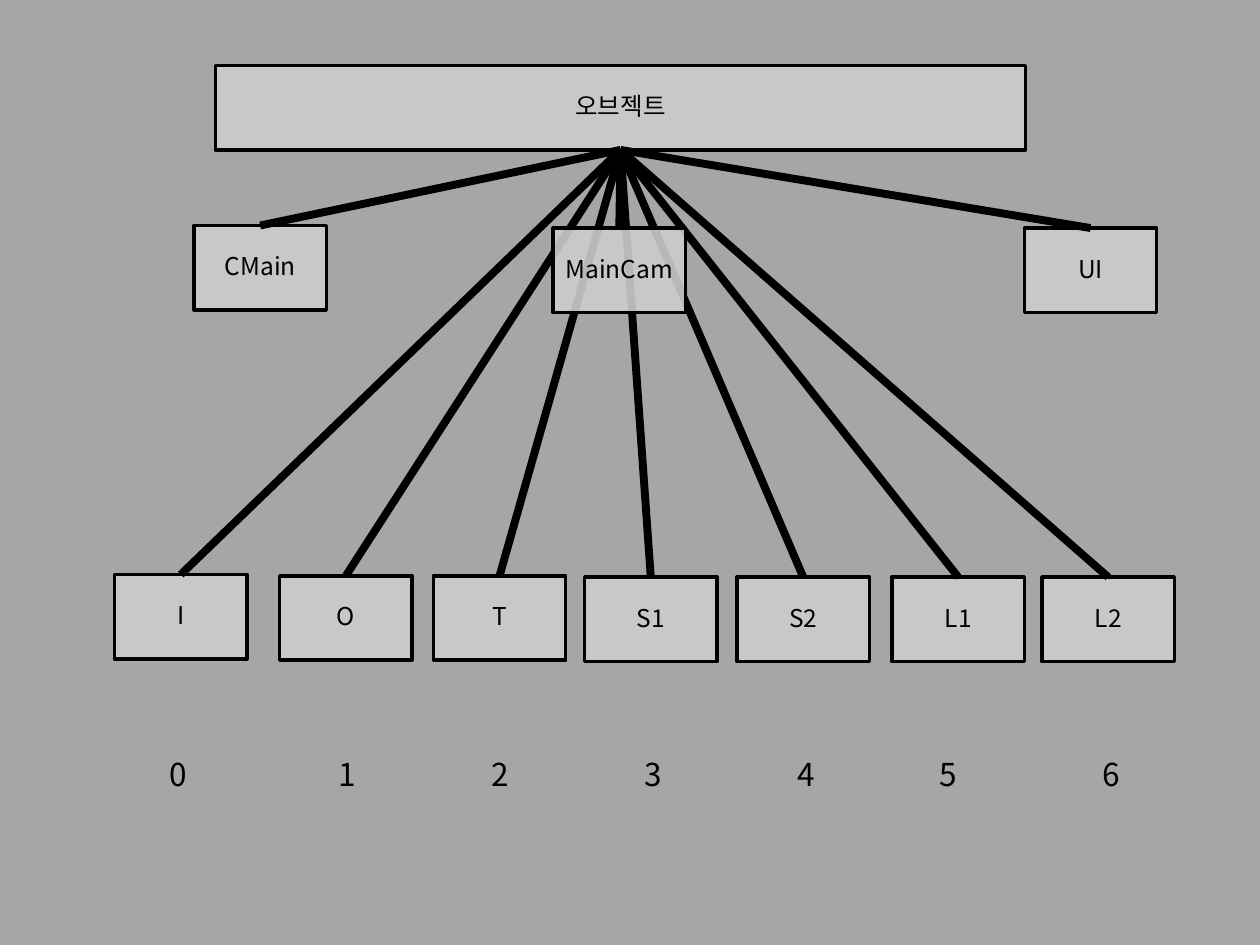
from lxml import etree
from pptx import Presentation
from pptx.dml.color import RGBColor
from pptx.enum.shapes import MSO_CONNECTOR, MSO_SHAPE
from pptx.enum.text import MSO_ANCHOR, MSO_AUTO_SIZE, PP_ALIGN
from pptx.oxml.ns import qn
from pptx.util import Inches, Pt

RECTANGLE = MSO_SHAPE.RECTANGLE
STRAIGHT = MSO_CONNECTOR.STRAIGHT
MIDDLE = MSO_ANCHOR.MIDDLE
CENTER = PP_ALIGN.CENTER
FIT_SHAPE = MSO_AUTO_SIZE.SHAPE_TO_FIT_TEXT

FONT = "Noto Sans CJK KR"
BLACK, BOX_FILL, BACKGROUND = "000000", "CCCCCC", "A6A6A6"
BOX_WIDTH, BOX_HEIGHT = 1.05, 0.67
BOTTOM_SITE, TOP_SITE = 2, 0

# name, left, top
SCENES = [
    ("I", 0.91, 4.56),
    ("O", 2.22, 4.57),
    ("T", 3.44, 4.57),
    ("S1", 4.64, 4.58),
    ("S2", 5.85, 4.58),
    ("L1", 7.08, 4.58),
    ("L2", 8.27, 4.58),
]
NUMBER_LEFTS = [1.25, 2.59, 3.8, 5.02, 6.23, 7.36, 8.65]
NUMBER_TOP = 5.94


def color(hex_text):
    return RGBColor.from_string(hex_text)


def set_fill(fill, hex_text):
    fill.solid()
    fill.fore_color.rgb = color(hex_text)


def set_line(line, width):
    line.color.rgb = color(BLACK)
    line.width = Pt(width)


def write_text(para, text, size):
    span = para.add_run()
    span.text = text
    for name, value in {"size": Pt(size), "name": FONT}.items():
        setattr(span.font, name, value)
    span.font.color.rgb = color(BLACK)
    east_asian = etree.SubElement(span.font._element, qn("a:ea"))
    east_asian.set("typeface", FONT)


def add_box(page, text, left, top, width=BOX_WIDTH):
    box = page.shapes.add_shape(
        RECTANGLE, Inches(left), Inches(top), Inches(width), Inches(BOX_HEIGHT))
    box.shadow.inherit = False
    set_fill(box.fill, BOX_FILL)
    fill_color = box.fill._xPr.find(qn("a:solidFill"))[0]
    etree.SubElement(fill_color, qn("a:alpha")).set("val", "90000")
    set_line(box.line, 2)
    frame = box.text_frame
    frame.word_wrap = True
    frame.vertical_anchor = MIDDLE
    for side in ("left", "right", "top", "bottom"):
        setattr(frame, f"margin_{side}", Inches(0.08))
    para = frame.paragraphs[0]
    para.alignment = CENTER
    para.line_spacing = 0.9
    write_text(para, text, 14)
    return box


def link(page, parent, child):
    """Join the bottom of the parent to the top of the child."""
    connector = page.shapes.add_connector(STRAIGHT, 0, 0, 0, 0)
    connector.begin_connect(parent, BOTTOM_SITE)
    connector.end_connect(child, TOP_SITE)
    set_line(connector.line, 4.5)
    etree.SubElement(connector._element.spPr, qn("a:effectLst"))


def add_number(page, text, left):
    label = page.shapes.add_textbox(
        Inches(left), Inches(NUMBER_TOP), Inches(0.34), Inches(0.4))
    label.text_frame.word_wrap = False
    label.text_frame.auto_size = FIT_SHAPE
    write_text(label.text_frame.paragraphs[0], text, 18)


def main():
    deck = Presentation()
    deck.slide_width, deck.slide_height = Inches(10), Inches(7.5)
    page = deck.slides.add_slide(deck.slide_layouts[6])
    set_fill(page.background.fill, BACKGROUND)

    root = add_box(page, "오브젝트", 1.71, 0.52, width=6.43)
    children = [add_box(page, "CMain", 1.54, 1.79)]
    children += [add_box(page, *scene) for scene in SCENES]
    children.append(add_box(page, "UI", 8.13, 1.81))
    for child in children:
        link(page, root, child)
    for index, left in enumerate(NUMBER_LEFTS):
        add_number(page, str(index), left)

    # The camera box covers the lines that pass behind it.
    camera = add_box(page, "MainCam", 4.39, 1.81)
    link(page, root, camera)

    deck.save("out.pptx")


if __name__ == "__main__":
    main()
